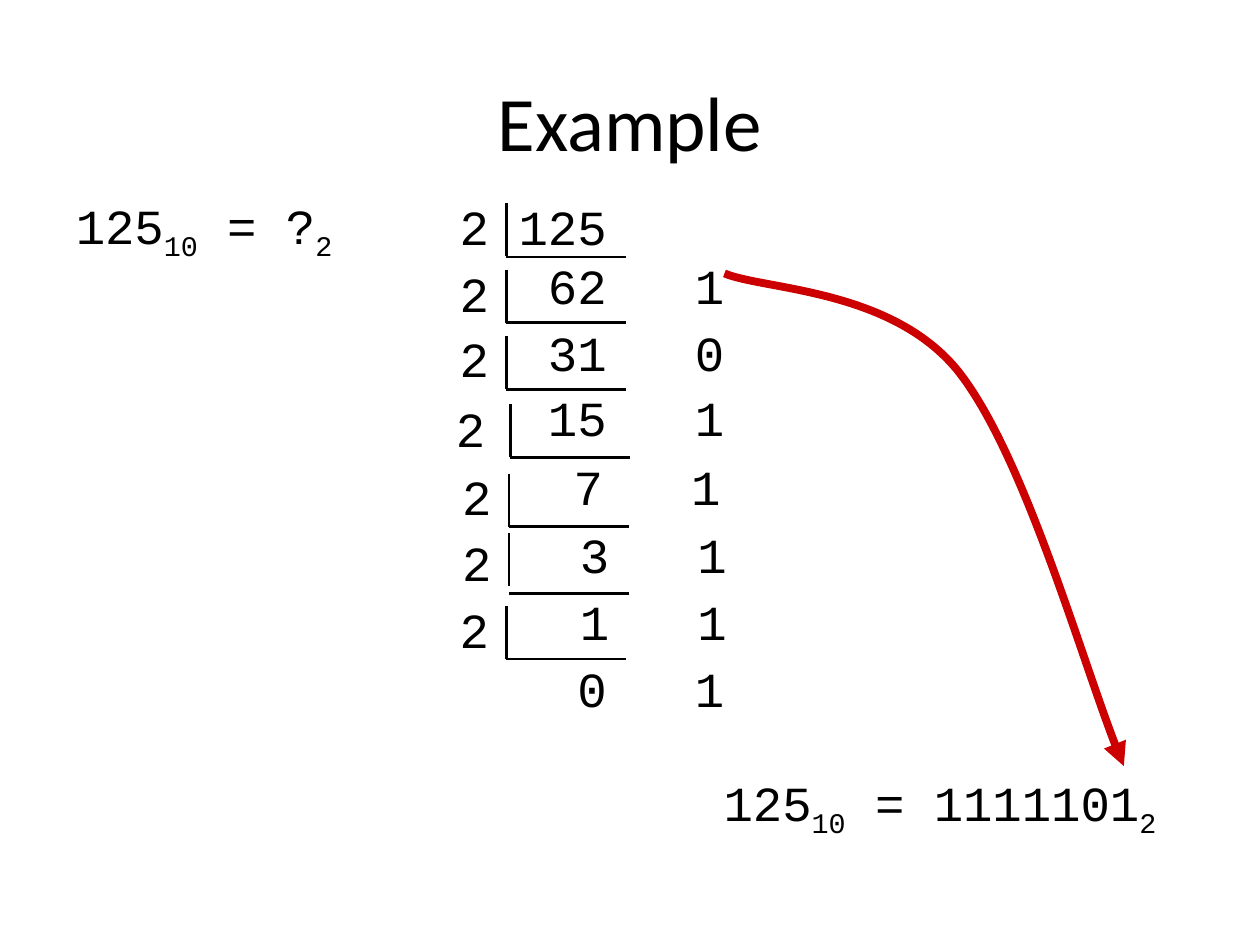
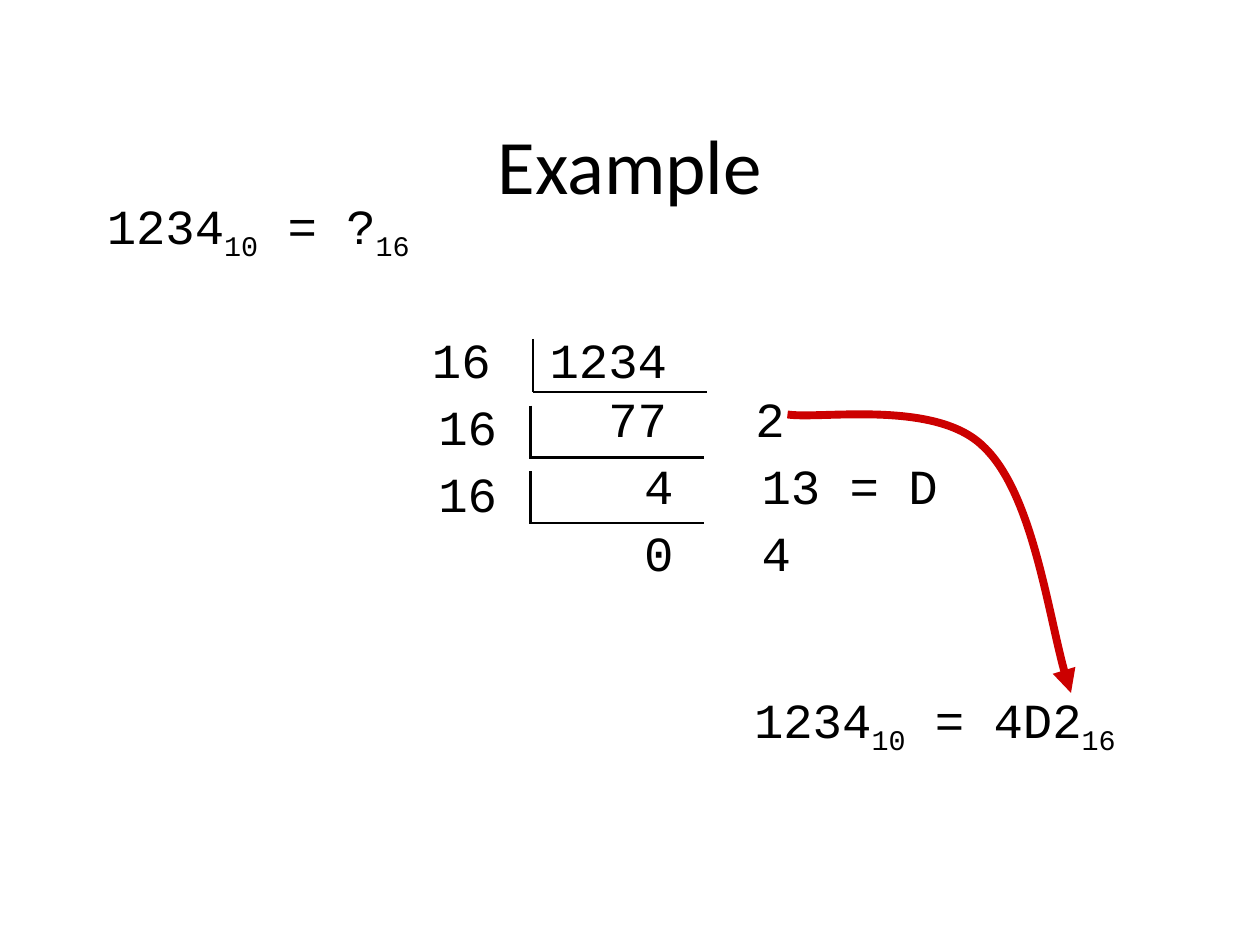
import copy
from dataclasses import dataclass

import pptx
import pptx.dml.color
import pptx.enum.shapes
import pptx.enum.text
import pptx.oxml
import pptx.oxml.ns
import pptx.slide
import pptx.util
from lxml import etree

Inches = pptx.util.Inches
Pt = pptx.util.Pt
RGBColor = pptx.dml.color.RGBColor
PP_ALIGN = pptx.enum.text.PP_ALIGN
MSO_ANCHOR = pptx.enum.text.MSO_ANCHOR
qn = pptx.oxml.ns.qn

BLACK = RGBColor(0x00, 0x00, 0x00)
RED = RGBColor(0xCC, 0x00, 0x00)
TITLE_FONT = "Calibri"
DIGIT_FONT = "Courier New"
DIGIT_SIZE = 28
DIGIT_WIDTH = 0.6 * DIGIT_SIZE / 72  # advance of one monospaced character, in inches
STEM_HEIGHT = 0.42

Point = tuple[float, float]


@dataclass(frozen=True)
class Box:
    left: float
    top: float
    width: float
    height: float


@dataclass(frozen=True)
class Division:
    """A divisor with its bracket, and the quotient and remainder below it."""
    left: float
    top: float
    lines: str
    stem_x: float
    stem_top: float
    base_y: float


@dataclass(frozen=True)
class Conversion:
    """One worked example; text between bars is subscript."""
    title_box: Box
    question: str
    question_box: Box
    answer: str
    answer_box: Box
    divisions: list[Division]
    work_size: tuple[float, float]
    base_width: float
    quotient_end: int      # columns, counted in characters
    remainder_start: int
    reading_order: list[Point]


BINARY = Conversion(
    title_box=Box(0.5, 0.5, 9, 0.92),
    question="125|10| = ?|2",
    question_box=Box(0.33, 1.5, 2.58, 0.57),
    answer="125|10| = 1111101|2",
    answer_box=Box(5.25, 6.08, 4.42, 0.57),
    divisions=[
        Division(3.55, 1.51, "2\t125\n\t62\t1", 4.02, 1.61, 2.04),
        Division(3.55, 2.04, "2\n\t31\t0", 4.02, 2.14, 2.56),
        Division(3.55, 2.56, "2\n\t15\t1", 4.02, 2.67, 3.09),
        Division(3.52, 3.11, "2\n\t7\t1", 4.05, 3.21, 3.63),
        Division(3.57, 3.65, "2\n\t3\t1", 4.04, 3.76, 4.18),
        Division(3.57, 4.18, "2\n\t1\t1", 4.04, 4.23, 4.71),
        Division(3.55, 4.71, "2\n\t0\t1", 4.02, 4.81, 5.23),
    ],
    work_size=(2.85, 1.04),
    base_width=0.95,
    quotient_end=5,
    remainder_start=8,
    reading_order=[(5.75, 2.17), (6.06, 2.3), (7.07, 2.29), (7.6, 2.94),
                   (8.12, 3.59), (8.64, 5.43), (8.92, 6.08)],
)

HEXADECIMAL = Conversion(
    title_box=Box(0.5, 0.67, 9, 1.25),
    question="1234|10| = ?|16",
    question_box=Box(0.13, 1.5, 3.84, 0.57),
    answer="1234|10| = 4D2|16",
    answer_box=Box(5.5, 5.42, 3.84, 0.57),
    divisions=[
        Division(3.33, 2.57, "16\t1234\n\t77\t2", 4.23, 2.69, 3.11),
        Division(3.38, 3.1, "16\n\t4\t13 = D", 4.21, 3.22, 3.63),
        Division(3.38, 3.63, "16\n\t0\t4", 4.21, 3.74, 4.15),
    ],
    work_size=(4.71, 1.04),
    base_width=1.38,
    quotient_end=8,
    remainder_start=11,
    reading_order=[(6.25, 3.29), (6.51, 3.33), (7.42, 3.17), (7.8, 3.54),
                   (8.19, 3.9), (8.35, 5.09), (8.5, 5.5)],
)


def add_text(slide: pptx.slide.Slide, box: Box, text: str, *, font: str = DIGIT_FONT,
             size: float = DIGIT_SIZE, align: PP_ALIGN = PP_ALIGN.LEFT,
             anchor: MSO_ANCHOR = MSO_ANCHOR.TOP,
             tabs: tuple[tuple[float, str], ...] = ()) -> None:
    """Write lines of text; every second part between bars is subscript."""
    frame = slide.shapes.add_textbox(
        Inches(box.left), Inches(box.top), Inches(box.width), Inches(box.height)).text_frame
    frame.word_wrap = True
    frame.vertical_anchor = anchor
    for index, line in enumerate(text.split("\n")):
        paragraph = frame.add_paragraph() if index else frame.paragraphs[0]
        paragraph.alignment = align
        if tabs:
            stops = etree.SubElement(paragraph._p.get_or_add_pPr(), qn("a:tabLst"))
            for position, side in tabs:
                etree.SubElement(stops, qn("a:tab"), pos=str(Inches(position)), algn=side)
        for part, words in enumerate(line.split("|")):
            run = paragraph.add_run()
            run.text = words
            run.font.name = font
            run.font.size = Pt(size)
            run.font.color.rgb = BLACK
            if part % 2:
                run._r.get_or_add_rPr().set("baseline", "-25000")


def add_rule(slide: pptx.slide.Slide, start: Point, end: Point) -> None:
    rule = slide.shapes.add_connector(
        pptx.enum.shapes.MSO_CONNECTOR.STRAIGHT, *(Inches(v) for v in (*start, *end)))
    rule.line.color.rgb = BLACK
    rule.line.width = Pt(1.5)
    etree.SubElement(rule._element.spPr, qn("a:effectLst"))


def add_curved_arrow(slide: pptx.slide.Slide, points: list[Point]) -> None:
    """Draw a start point followed by groups of three Bezier points."""
    start, *rest = [(Inches(x), Inches(y)) for x, y in points]
    builder = slide.shapes.build_freeform(*start)
    builder.add_line_segments(rest, close=False)
    arrow = builder.convert_to_shape()
    arrow.shadow.inherit = False
    arrow.fill.background()
    arrow.line.color.rgb = RED
    arrow.line.width = Pt(4.5)
    etree.SubElement(arrow.line._get_or_add_ln(), qn("a:tailEnd"), type="triangle")

    # Turn each three straight segments into one cubic curve
    outline = arrow._element.find(".//" + qn("a:path"))
    segments = outline.findall(qn("a:lnTo"))
    for first in range(0, len(segments), 3):
        curve = etree.SubElement(outline, qn("a:cubicBezTo"))
        for segment in segments[first:first + 3]:
            curve.append(copy.deepcopy(segment[0]))
            outline.remove(segment)


def add_division(slide: pptx.slide.Slide, division: Division, example: Conversion) -> None:
    add_text(slide, Box(division.left, division.top, *example.work_size), division.lines,
             tabs=((example.quotient_end * DIGIT_WIDTH, "r"),
                   (example.remainder_start * DIGIT_WIDTH, "l")))
    x, top, base = division.stem_x, division.stem_top, division.base_y
    add_rule(slide, (x, top), (x, top + STEM_HEIGHT))
    add_rule(slide, (x, base), (x + example.base_width, base))


def add_example(deck, example: Conversion) -> None:
    slide = deck.slides.add_slide(deck.slide_layouts[6])
    add_text(slide, example.title_box, "Example", font=TITLE_FONT, size=44,
             align=PP_ALIGN.CENTER, anchor=MSO_ANCHOR.MIDDLE)
    add_text(slide, example.question_box, example.question, align=PP_ALIGN.CENTER)
    for division in example.divisions:
        add_division(slide, division, example)
    add_text(slide, example.answer_box, example.answer, align=PP_ALIGN.CENTER)
    # Remainders are read from the last to the first
    add_curved_arrow(slide, example.reading_order)


def main() -> None:
    deck = pptx.Presentation()
    deck.slide_width = Inches(10)
    deck.slide_height = Inches(7.5)
    for example in (BINARY, HEXADECIMAL):
        add_example(deck, example)
    deck.save("out.pptx")


if __name__ == "__main__":
    main()
